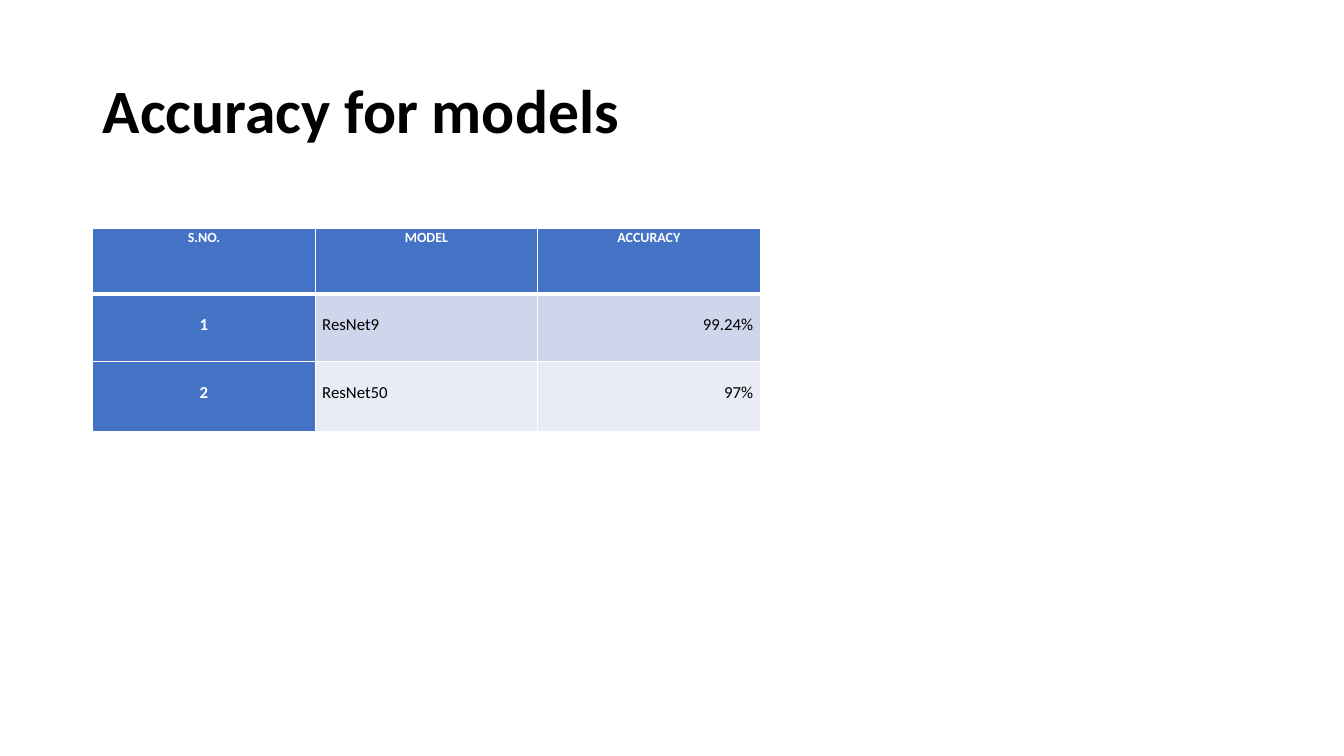
import pptx
import pptx.util
import pptx.dml.color
import pptx.enum.text
import pptx.oxml.ns
import lxml.etree

Inch, Pt = pptx.util.Inches, pptx.util.Pt
Rgb = pptx.dml.color.RGBColor.from_string
Align = pptx.enum.text.PP_ALIGN
Anchor = pptx.enum.text.MSO_ANCHOR
qn = pptx.oxml.ns.qn

HUES = {"head": "4472C4", "odd": "CFD5EA", "even": "E9EBF5",
        "white": "FFFFFF", "black": "000000"}
LEFT = 0.92


def style(par, size, bold, hue, **form):
    for key, val in form.items():
        setattr(par, key, val)
    font = par.runs[0].font
    for key, val in {"name": "Calibri", "size": Pt(size), "bold": bold}.items():
        setattr(font, key, val)
    font.color.rgb = Rgb(HUES[hue])


def edge(cell, side, width):
    line = lxml.etree.SubElement(cell._tc.get_or_add_tcPr(), qn("a:ln" + side), w=str(Pt(width)))
    fill = lxml.etree.SubElement(line, qn("a:solidFill"))
    lxml.etree.SubElement(fill, qn("a:srgbClr"), val=HUES["white"])


# Slide
deck = pptx.Presentation()
deck.slide_width, deck.slide_height = Inch(13.33), Inch(7.5)
slide = deck.slides.add_slide(deck.slide_layouts[5])

# Title
title = slide.shapes.title
box = {"left": LEFT, "top": 0.4, "width": 11.5, "height": 1.45}
for key, val in box.items():
    setattr(title, key, Inch(val))
title.text_frame.text = "Accuracy for models"
title.text_frame.vertical_anchor = Anchor.MIDDLE
style(title.text_frame.paragraphs[0], 44, True, "black",
      alignment=Align.LEFT, line_spacing=0.9)

# Table
rows = [("S.NO.", "MODEL", "ACCURACY"),
        ("1", "ResNet9", "99.24%"),
        ("2", "ResNet50", "97%")]
tall = [0.65, 0.67, 0.69]
sides = [Align.CENTER, Align.JUSTIFY, Align.RIGHT]
pads = {"margin_left": 0.07, "margin_right": 0.07, "margin_top": 0, "margin_bottom": 0}
grid = slide.shapes.add_table(3, 3, Inch(LEFT), Inch(2.27),
                              Inch(6.62), Inch(sum(tall))).table

for r, row in enumerate(rows):
    grid.rows[r].height = Inch(tall[r])
    for c, text in enumerate(row):
        cell = grid.cell(r, c)
        cell.text = text
        for key, val in pads.items():
            setattr(cell, key, Inch(val))

        # Borders, with a thick rule below the header
        for side in "LRTB":
            edge(cell, side, 3 if (r, side) in [(0, "B"), (1, "T")] else 1)

        # Header row and first column share one look
        head = r == 0 or c == 0
        cell.fill.solid()
        cell.fill.fore_color.rgb = Rgb(HUES["head" if head else "odd" if r % 2 else "even"])
        style(cell.text_frame.paragraphs[0], 12 if r else 10, head,
              "white" if head else "black",
              alignment=sides[c] if r else Align.CENTER,
              line_spacing=2.0 if r else 1.0, space_after=Pt(10))

deck.save("out.pptx")
